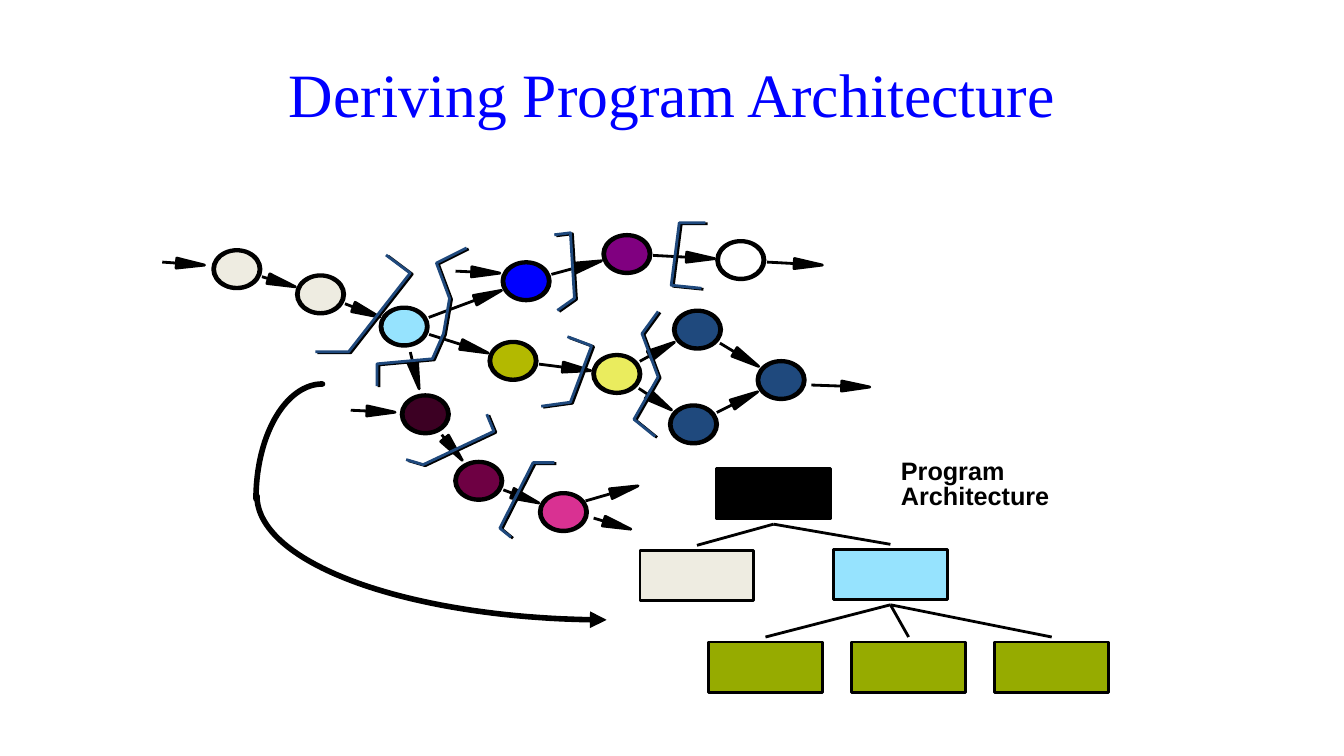
"""Build the slide that derives a program architecture from a data flow."""
from math import cos, hypot, pi, sin

from lxml.etree import SubElement
from pptx import Presentation
from pptx.dml.color import RGBColor
from pptx.enum.shapes import MSO_CONNECTOR, MSO_SHAPE
from pptx.enum.text import MSO_ANCHOR, PP_ALIGN
from pptx.oxml.ns import qn
from pptx.util import Cm, Pt

BLACK = RGBColor.from_string("000000")
BLUE = RGBColor.from_string("0000FF")
NAVY = RGBColor.from_string("1F497D")
CREAM = RGBColor.from_string("EEECE1")
SKY = RGBColor.from_string("96E3FE")
PURPLE = RGBColor.from_string("800080")
WHITE = RGBColor.from_string("FFFFFF")
OLIVE = RGBColor.from_string("B3B900")
YELLOW = RGBColor.from_string("EAEC5E")
MAROON = RGBColor.from_string("3C0023")
WINE = RGBColor.from_string("6E0043")
PINK = RGBColor.from_string("D93192")
GREEN = RGBColor.from_string("96AB00")

TRANSFORMS = {
    "read": (2.35, 2.67, CREAM), "check": (3.18, 2.92, CREAM),
    "blue": (5.22, 2.79, BLUE), "purple": (6.22, 2.52, PURPLE),
    "white": (7.35, 2.58, WHITE), "olive": (5.09, 3.58, OLIVE),
    "yellow": (6.12, 3.71, YELLOW), "upper": (6.92, 3.27, NAVY),
    "lower": (6.88, 4.21, NAVY), "join": (7.75, 3.77, NAVY),
    "maroon": (4.22, 4.11, MAROON), "wine": (4.75, 4.77, WINE),
    "pink": (5.59, 5.08, PINK), "centre": (4.01, 3.24, SKY),
}
ROUTES = [
    "read check centre blue purple white", "centre olive yellow upper join",
    "yellow lower join", "centre maroon wine pink",
]
OUTER_FLOWS = [
    ((1.61, 2.6), (2.03, 2.63)), ((3.48, 4.07), (3.92, 4.09)),
    ((4.52, 2.69), (4.96, 2.71)), ((7.61, 2.6), (8.16, 2.63)),
    ((8.05, 3.82), (8.63, 3.84)), ((5.89, 5.14), (6.26, 5.25)),
    ((5.81, 4.97), (6.33, 4.82)),
]
BOUNDARIES = [
    [(3.83, 2.53), (4.07, 2.71), (3.46, 3.49), (3.13, 3.49)],
    [(4.63, 2.46), (4.33, 2.61), (4.46, 2.96), (4.4, 3.31), (4.29, 3.56),
     (3.74, 3.61), (3.74, 3.83)],
    [(5.5, 2.33), (5.66, 2.31), (5.7, 2.96), (5.53, 3.08)],
    [(7, 2.21), (6.74, 2.21), (6.66, 2.83), (6.96, 2.86)],
    [(5.63, 3.34), (5.87, 3.43), (5.66, 3.99), (5.37, 4.03)],
    [(6.53, 3.09), (6.37, 3.31), (6.53, 3.74), (6.29, 4.16), (6.5, 4.33)],
    [(4.83, 4.11), (4.9, 4.28), (4.2, 4.61), (4.03, 4.56)],
    [(5.5, 4.59), (5.29, 4.59), (4.96, 5.24), (5.07, 5.33)],
]
MODULE_WIDTH, MODULE_HEIGHT = 1.13, 0.5
ROOT = (7.11, 4.65)
BRANCHES = [(6.35, 5.46), (8.27, 5.45)]
LEAVES = [(7.03 + 1.42 * column, 6.37) for column in range(3)]


def grid(*steps):
    """Turn grid steps of 2.54 cm into lengths."""
    return [Cm(step * 2.54) for step in steps]


def direction(start, end):
    """Return the unit vector from start to end."""
    dx, dy = end[0] - start[0], end[1] - start[1]
    length = hypot(dx, dy)
    return dx / length, dy / length


def quarter(centre, radii, first):
    """Return points along a quarter ellipse that starts at the angle first."""
    angles = [first + step * pi / 96 for step in range(49)]
    return [(centre[0] + radii[0] * cos(a), centre[1] + radii[1] * sin(a)) for a in angles]


class Diagram:
    """Hold the line style and the current slide."""

    def __init__(self, slide, weight=2):
        self.shapes = slide.shapes
        self.weight = weight

    def finish(self, shape, fill, line, weight=None):
        shape.shadow.inherit = False
        if fill is None:
            shape.fill.background()
        else:
            shape.fill.solid()
            shape.fill.fore_color.rgb = fill
        shape.line.color.rgb = line
        shape.line.width = Pt(weight or self.weight)
        return shape

    def preset(self, kind, box, fill=None):
        return self.finish(self.shapes.add_shape(kind, *grid(*box)), fill, BLACK)

    def transform(self, x, y, fill):
        for width, height, colour in ((0.44, 0.36, fill), (0.48, 0.39, None)):
            box = (x - width / 2, y - height / 2, width, height)
            self.preset(MSO_SHAPE.OVAL, box, colour)

    def outline(self, points, line=BLACK, fill=None, weight=None, shapes=None):
        corners = [grid(*point) for point in points]
        builder = (shapes or self.shapes).build_freeform(*corners[0])
        builder.add_line_segments(corners[1:], close=fill is not None)
        return self.finish(builder.convert_to_shape(), fill, line, weight)

    def line(self, start, end, shapes=None):
        connector = (shapes or self.shapes).add_connector(
            MSO_CONNECTOR.STRAIGHT, *grid(*start, *end))
        connector.line.color.rgb = BLACK
        connector.line.width = Pt(self.weight)
        SubElement(connector._element.spPr, qn("a:effectLst"))

    def flow(self, start, tip, length=0.28, half=0.05):
        ux, uy = direction(start, tip)
        neck = (tip[0] - length * ux, tip[1] - length * uy)
        wings = [(neck[0] - s * uy, neck[1] + s * ux) for s in (half, -half)]
        group = self.shapes.add_group_shape()
        self.outline([tip, *wings], fill=BLACK, shapes=group.shapes)
        self.line(start, neck, group.shapes)

    def route(self, source, target, gap=0.26):
        ux, uy = direction(source, target)
        self.flow((source[0] + gap * ux, source[1] + gap * uy),
                  (target[0] - gap * ux, target[1] - gap * uy))

    def boundary(self, points):
        self.outline([(x + 0.02, y + 0.01) for x, y in points])
        self.outline(points, NAVY)

    def module(self, corner, fill):
        self.preset(MSO_SHAPE.RECTANGLE, (*corner, MODULE_WIDTH, MODULE_HEIGHT), fill)

    def calls(self, parent, children, gap=0.05):
        half = MODULE_WIDTH / 2
        for x, y in children:
            self.line((parent[0] + half, parent[1] + MODULE_HEIGHT + gap),
                      (x + half, y - gap))

    def sweep(self, points, arrow=False):
        curve = self.outline(points, weight=4)
        stroke = curve._element.spPr.find(qn("a:ln"))
        stroke.set("cap", "rnd")
        SubElement(stroke, qn("a:round"))
        if arrow:
            SubElement(stroke, qn("a:headEnd"), type="triangle")

    def text(self, words, box, size, font, color, bold=False, wrap=True,
             align=PP_ALIGN.LEFT, anchor=MSO_ANCHOR.TOP, spacing=1.0):
        frame = self.shapes.add_textbox(*grid(*box)).text_frame
        frame.word_wrap = wrap
        frame.vertical_anchor = anchor
        frame.text = words
        for paragraph in frame.paragraphs:
            paragraph.alignment = align
            paragraph.line_spacing = spacing
            paragraph.font.name = font
            paragraph.font.size = Pt(size)
            paragraph.font.bold = bold
            paragraph.font.color.rgb = color


def main():
    """Draw the data flow above the program architecture it leads to."""
    deck = Presentation()
    deck.slide_width, deck.slide_height = Cm(33.87), Cm(19.05)
    diagram = Diagram(deck.slides.add_slide(deck.slide_layouts[6]))
    diagram.text("Deriving Program Architecture", (0.67, 0.3, 12, 1.25), 44,
                 "Times New Roman", BLUE, align=PP_ALIGN.CENTER, anchor=MSO_ANCHOR.MIDDLE)
    for route in ROUTES:
        stops = [TRANSFORMS[name] for name in route.split()]
        for source, target in zip(stops, stops[1:]):
            diagram.route(source, target)
    for start, tip in OUTER_FLOWS:
        diagram.flow(start, tip)
    for transform in TRANSFORMS.values():
        diagram.transform(*transform)
    for boundary in BOUNDARIES:
        diagram.boundary(boundary)
    diagram.module(ROOT, BLACK)
    for branch, fill in zip(BRANCHES, (CREAM, SKY)):
        diagram.module(branch, fill)
    for leaf in LEAVES:
        diagram.module(leaf, GREEN)
    diagram.calls(ROOT, BRANCHES)
    diagram.calls(BRANCHES[1], LEAVES)
    diagram.text("Program\nArchitecture", (8.84, 4.53, 1.69, 0.58), 18, "Arial",
                 BLACK, bold=True, wrap=False, spacing=0.8)
    diagram.sweep(quarter((3.2, 4.95), (0.66, 1.14), pi))
    diagram.sweep(quarter((6.02, 4.92), (3.47, 1.23), pi / 2), arrow=True)
    deck.save("out.pptx")


if __name__ == "__main__":
    main()
